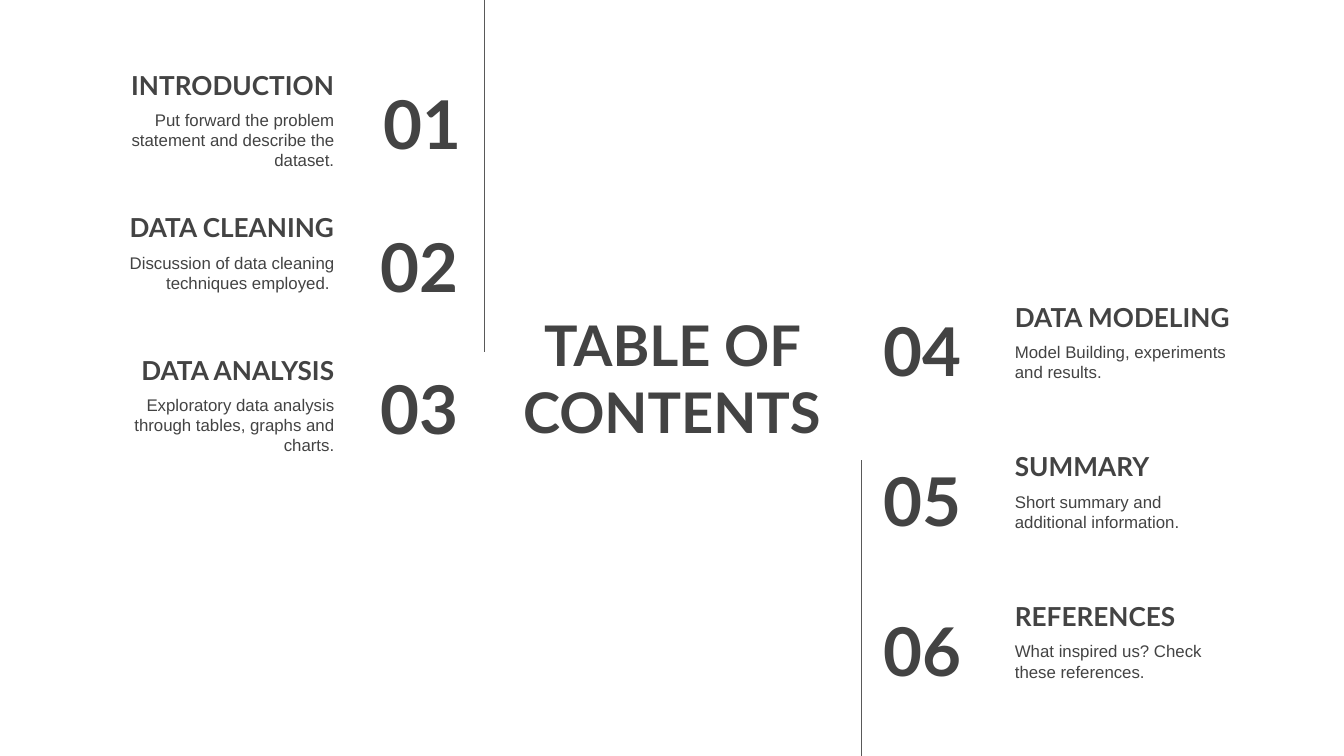
from dataclasses import dataclass

from lxml import etree
from pptx import Presentation
from pptx.dml.color import RGBColor
from pptx.enum.shapes import MSO_CONNECTOR
from pptx.enum.text import MSO_ANCHOR, PP_ALIGN
from pptx.oxml.ns import qn
from pptx.slide import Slide
from pptx.util import Inches, Pt

LEFT, CENTER, RIGHT = PP_ALIGN.LEFT, PP_ALIGN.CENTER, PP_ALIGN.RIGHT
TOP, MIDDLE, BOTTOM = MSO_ANCHOR.TOP, MSO_ANCHOR.MIDDLE, MSO_ANCHOR.BOTTOM
STRAIGHT = MSO_CONNECTOR.STRAIGHT
INK = RGBColor(0x43, 0x43, 0x43)
RULE = RGBColor(0x59, 0x59, 0x59)
CELL = 0.1
COLUMNS, ROWS = 100, 56.25
BOX_ROWS = 6.3

LEFT_CHAPTERS = [
    ("01", 23.2, "INTRODUCTION", "Put forward the problem statement and describe the dataset."),
    ("02", 23, "DATA CLEANING", "Discussion of data cleaning techniques employed. "),
    ("03", 23, "DATA ANALYSIS", "Exploratory data analysis through tables, graphs and charts."),
]
RIGHT_CHAPTERS = [
    ("04", 64.75, "DATA MODELING", "Model Building, experiments and results."),
    ("05", 64.75, "SUMMARY", "Short summary and additional information."),
    ("06", 64.75, "REFERENCES", "What inspired us? Check these references."),
]


def cells(count):
    return Inches(count * CELL)


@dataclass
class ContentsPage:
    """Draws the contents page on a grid of tenth-inch cells."""

    slide: Slide
    heading_font: str = "Lato"
    body_font: str = "Arial"

    def text(self, words, column, row, width, height, size, align, anchor, heading=True):
        box = self.slide.shapes.add_textbox(*map(cells, (column, row, width, height)))
        frame = box.text_frame
        frame.text = words
        frame.word_wrap = True
        frame.vertical_anchor = anchor
        frame.margin_left = frame.margin_right = cells(1)
        frame.margin_top = frame.margin_bottom = cells(1)
        paragraph = frame.paragraphs[0]
        paragraph.alignment = align
        font = paragraph.runs[0].font
        font.name = self.heading_font if heading else self.body_font
        font.size = Pt(size)
        font.bold = heading
        font.color.rgb = INK

    def rule(self, column, first_row, last_row):
        rule = self.slide.shapes.add_connector(
            STRAIGHT, *map(cells, (column, first_row, column, last_row)))
        rule.line.color.rgb = RULE
        rule.line.width = Pt(0.75)
        etree.SubElement(rule._element.spPr, qn("a:effectLst"))

    def chapters(self, entries, first_row, pitch, number_drop, number_width, heading_at, summary_at, align):
        for index, (number, number_at, heading, summary) in enumerate(entries):
            row = first_row + index * pitch
            self.text(number, number_at, row + number_drop, number_width, BOX_ROWS, 36, align, MIDDLE)
            self.text(heading, heading_at, row, 21.6, BOX_ROWS, 14, align, BOTTOM)
            self.text(summary, summary_at, row + 4.97, 18.3, BOX_ROWS, 9, align, TOP, heading=False)


def main():
    deck = Presentation()
    deck.slide_width, deck.slide_height = cells(COLUMNS), cells(ROWS)
    page = ContentsPage(deck.slides.add_slide(deck.slide_layouts[6]))
    page.text("TABLE OF CONTENTS", 37.05, 22.97, 25.9, 10.3, 30, CENTER, MIDDLE)
    page.chapters(LEFT_CHAPTERS, 2.2, 10.6, 3.8, 12.1, 4.25, 7.55, RIGHT)
    page.chapters(RIGHT_CHAPTERS, 19.43, 11.15, 3.47, 11.7, 74.53, 74.53, LEFT)
    page.rule(36.07, 0, 26.2)
    page.rule(64.1, 34.23, ROWS)
    deck.save("out.pptx")


if __name__ == "__main__":
    main()
